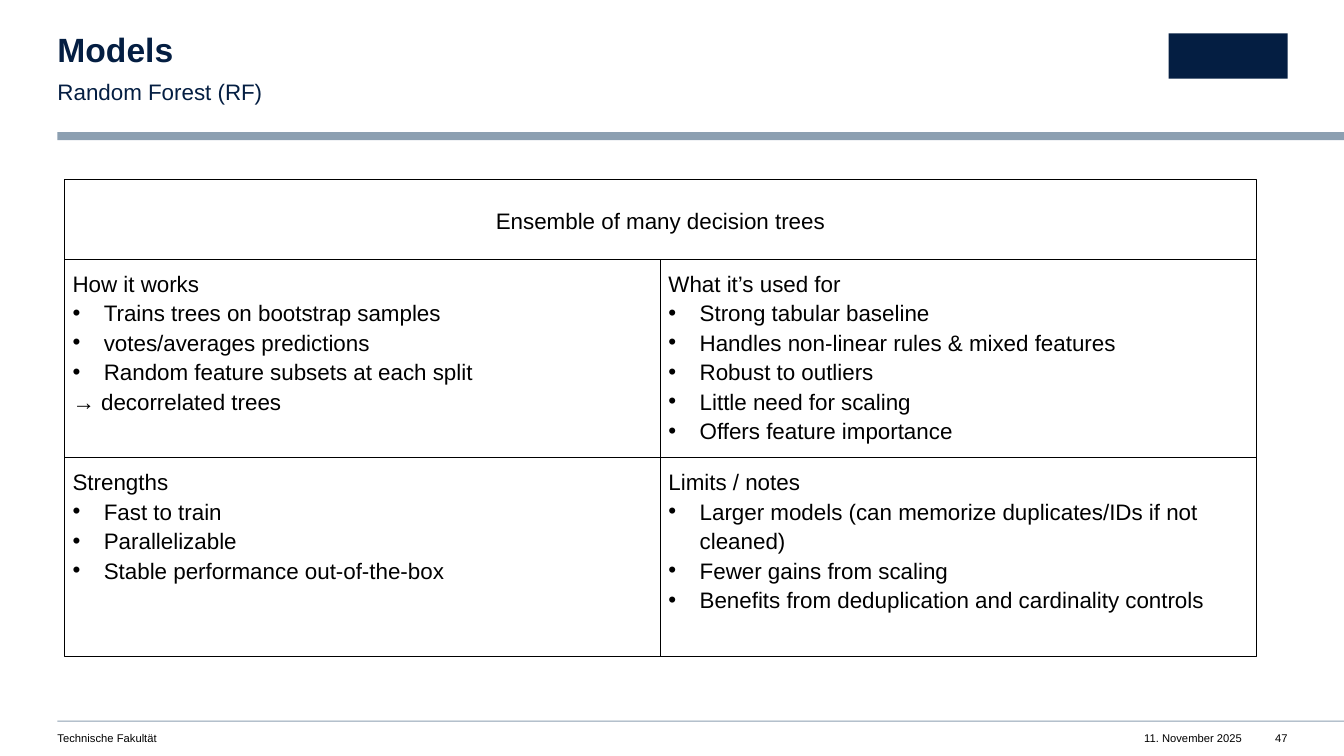
from lxml.etree import SubElement
from pptx import Presentation
from pptx.dml.color import RGBColor
from pptx.enum.shapes import MSO_SHAPE as Shape
from pptx.enum.text import MSO_ANCHOR as Anchor, PP_ALIGN as Align
from pptx.oxml.ns import qn
from pptx.util import Inches, Pt

NAVY = RGBColor(0x04, 0x1E, 0x42)
STEEL = RGBColor(0x8C, 0x9F, 0xB1)
BLACK = RGBColor(0, 0, 0)

MARGIN = 0.57
GRID_LEFT, GRID_TOP = 0.64, 1.78
HEADER_HEIGHT = 0.79
CELL_WIDTH, CELL_HEIGHT = 5.91, 1.97

HEADER = "Ensemble of many decision trees"
CELLS = [
    [
        ["How it works", "• Trains trees on bootstrap samples", "• votes/averages predictions",
         "• Random feature subsets at each split", "→ decorrelated trees"],
        ["What it’s used for", "• Strong tabular baseline",
         "• Handles non-linear rules & mixed features", "• Robust to outliers",
         "• Little need for scaling", "• Offers feature importance"],
    ],
    [
        ["Strengths", "• Fast to train", "• Parallelizable", "• Stable performance out-of-the-box"],
        ["Limits / notes", "• Larger models (can memorize duplicates/IDs if not cleaned)",
         "• Fewer gains from scaling", "• Benefits from deduplication and cardinality controls"],
    ],
]


class SlideBuilder:
    font_name = "Arial"
    bullet = "•"
    bullet_indent = Inches(0.31)

    def __init__(self, slide):
        self.slide = slide

    def fill_text(self, shape, lines, font, paragraph_format, inset=0, anchor=Anchor.TOP):
        frame = shape.text_frame
        frame_format = {"word_wrap": True, "vertical_anchor": anchor}
        for side in ("left", "top", "right", "bottom"):
            frame_format[f"margin_{side}"] = Inches(inset)
        self.apply(frame, frame_format)
        for index, line in enumerate(lines):
            paragraph = frame.add_paragraph() if index else frame.paragraphs[0]
            if line.startswith(self.bullet):
                self.add_bullet(paragraph)
            self.apply(paragraph, paragraph_format)
            run = paragraph.add_run()
            run.text = line.removeprefix(self.bullet).lstrip()
            self.apply(run.font, {"name": self.font_name, "size": Pt(font["size"]),
                                  "bold": font.get("bold", False)})
            run.font.color.rgb = font.get("color", BLACK)

    def apply(self, target, values):
        for name, value in values.items():
            setattr(target, name, value)

    def add_bullet(self, paragraph):
        properties = paragraph._p.get_or_add_pPr()
        properties.set("marL", str(self.bullet_indent))
        properties.set("indent", str(-self.bullet_indent))
        SubElement(properties, qn("a:buFont"), typeface=self.font_name)
        SubElement(properties, qn("a:buChar"), char=self.bullet)

    def rectangle(self, left, top, width, height):
        box = map(Inches, (left, top, width, height))
        shape = self.slide.shapes.add_shape(Shape.RECTANGLE, *box)
        shape.shadow.inherit = False
        return shape

    def bar(self, left, top, width, height, color):
        shape = self.rectangle(left, top, width, height)
        shape.fill.solid()
        shape.fill.fore_color.rgb = color
        shape.line.fill.background()

    def cell(self, left, top, width, height, lines, inset=0.08, align=Align.LEFT,
             anchor=Anchor.TOP):
        shape = self.rectangle(left, top, width, height)
        shape.fill.background()
        shape.line.color.rgb = BLACK
        shape.line.width = Pt(0.75)
        self.fill_text(shape, lines, {"size": 16}, {"alignment": align, "line_spacing": 1.1},
                       inset, anchor)

    def label(self, left, top, width, height, text, font, align=Align.LEFT, spacing=1.0):
        box = map(Inches, (left, top, width, height))
        shape = self.slide.shapes.add_textbox(*box)
        self.fill_text(shape, [text], font, {"alignment": align, "line_spacing": spacing})


def main():
    presentation = Presentation()
    presentation.slide_width = Inches(13.33)
    presentation.slide_height = Inches(7.5)
    slide = presentation.slides.add_slide(presentation.slide_layouts[6])
    builder = SlideBuilder(slide)

    for top, height in ((1.31, 0.08), (7.15, 0.01)):
        builder.bar(MARGIN, top, 13.33 - MARGIN, height, STEEL)
    builder.bar(11.59, 0.33, 1.18, 0.45, NAVY)

    builder.label(MARGIN, 0.33, 7.49, 0.36, "Models",
                  {"size": 24, "bold": True, "color": NAVY}, spacing=0.9)
    builder.label(MARGIN, 0.75, 7.49, 0.27, "Random Forest (RF)",
                  {"size": 16, "color": NAVY}, spacing=1.1)

    builder.cell(GRID_LEFT, GRID_TOP, 2 * CELL_WIDTH, HEADER_HEIGHT, [HEADER],
                 inset=0.2, align=Align.CENTER, anchor=Anchor.MIDDLE)
    for row, row_cells in enumerate(CELLS):
        for column, lines in enumerate(row_cells):
            builder.cell(GRID_LEFT + column * CELL_WIDTH,
                         GRID_TOP + HEADER_HEIGHT + row * CELL_HEIGHT,
                         CELL_WIDTH, CELL_HEIGHT, lines)

    for left, width, text, align in (
        (MARGIN, 5.98, "Technische Fakultät", Align.LEFT),
        (11.02, 1.3, "11. November 2025", Align.RIGHT),
        (12.47, 0.3, "47", Align.RIGHT),
    ):
        builder.label(left, 7.26, width, 0.13, text, {"size": 8}, align)

    presentation.save("out.pptx")


if __name__ == "__main__":
    main()
